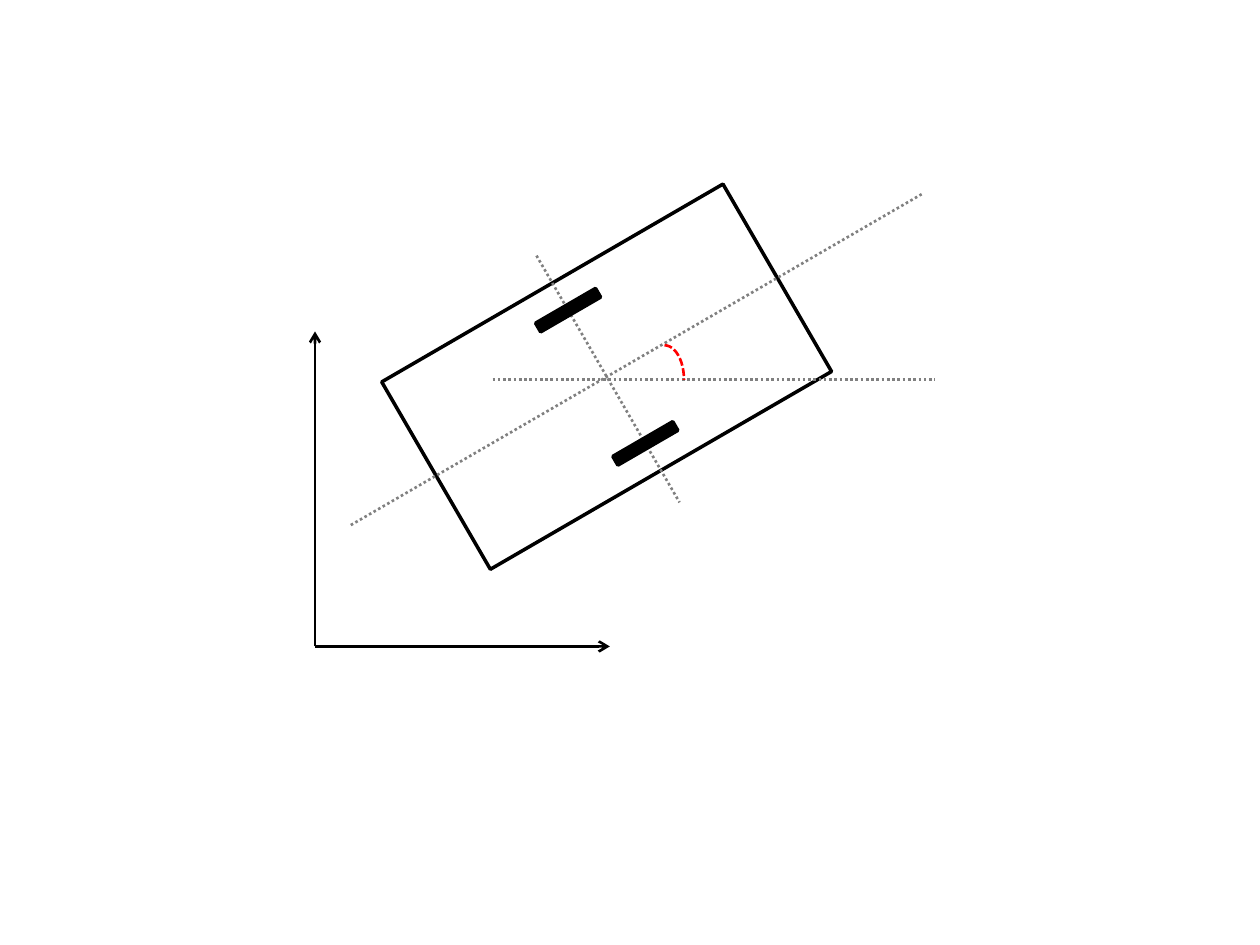
import math

import pptx
import pptx.dml.color
import pptx.enum.dml
import pptx.enum.shapes
import pptx.oxml.ns
import pptx.util
from lxml import etree

Pt = pptx.util.Pt
DASH = pptx.enum.dml.MSO_LINE
SHAPE = pptx.enum.shapes.MSO_SHAPE
COLORS = {"outline": "000000", "guide": "808080", "angle": "FF0000"}
HEADING = 30.1


def rgb(name):
    return pptx.dml.color.RGBColor.from_string(COLORS[name])


def set_line(line, color, width, dash=None):
    line.color.rgb = rgb(color)
    line.width = Pt(width)
    if dash is not None:
        line.dash_style = dash


def add_line(slide, start, end, color, dash=None, arrow=False):
    s = slide.shapes.add_connector(
        pptx.enum.shapes.MSO_CONNECTOR.STRAIGHT, *map(Pt, (*start, *end)))
    set_line(s.line, color, 1.5, dash)
    pr = s._element.spPr
    if arrow:
        ln = s.line._get_or_add_ln()
        etree.SubElement(ln, pptx.oxml.ns.qn("a:tailEnd"), type="arrow")
    etree.SubElement(pr, pptx.oxml.ns.qn("a:effectLst"))


def add_outline(slide, kind, box, color, width, dash=None, fill=None, rotation=0):
    s = slide.shapes.add_shape(kind, *map(Pt, box))
    s.shadow.inherit = False
    s.rotation = rotation
    if fill:
        s.fill.solid()
        s.fill.fore_color.rgb = rgb(fill)
    else:
        s.fill.background()
    set_line(s.line, color, width, dash)


def add_axes(slide, box):
    left, top, width, height = box
    origin = (left, top + height)
    for tip in ((left + width, top + height), (left, top)):
        add_line(slide, origin, tip, "outline", arrow=True)


def add_robot(slide, box):
    left, top, width, height = box
    cx, cy = left + width / 2, top + height / 2
    cos, sin = math.cos(math.radians(HEADING)), math.sin(math.radians(HEADING))

    def at(along, across):
        return cx + along * cos + across * sin, cy - along * sin + across * cos

    add_outline(slide, SHAPE.RECTANGLE, box, "outline", 2, rotation=-HEADING)
    add_line(slide, at(0, -80), at(0, 83), "guide", DASH.ROUND_DOT)
    add_line(slide, at(-169, 0), at(208, 0), "guide", DASH.ROUND_DOT)
    level = cy + 1.4
    add_line(slide, (cx - 65.2, level), (cx + 187.5, level), "guide", DASH.ROUND_DOT)

    wheel_w, wheel_h = 39.6, 5.8
    for across in (-44, 44):
        x, y = at(0, across)
        add_outline(slide, SHAPE.RECTANGLE,
                    (x - wheel_w / 2, y - wheel_h / 2, wheel_w, wheel_h),
                    "outline", 2, fill="outline", rotation=-HEADING)
    add_outline(slide, SHAPE.ARC, (cx + 21.9, cy - 18, 22.3, 39.6),
                "angle", 1.5, DASH.SQUARE_DOT)


def main():
    prs = pptx.Presentation()
    prs.slide_width, prs.slide_height = Pt(720), Pt(540)
    slide = prs.slides.add_slide(prs.slide_layouts[6])
    add_robot(slide, (234, 153.4, 225.4, 123.8))
    add_axes(slide, (180, 189.4, 168.5, 180))
    for s in slide.shapes:
        if s.shape_type == pptx.enum.shapes.MSO_SHAPE_TYPE.AUTO_SHAPE:
            s.text_frame.paragraphs[0].font.color.rgb = rgb("outline")
    prs.save("out.pptx")


if __name__ == "__main__":
    main()
